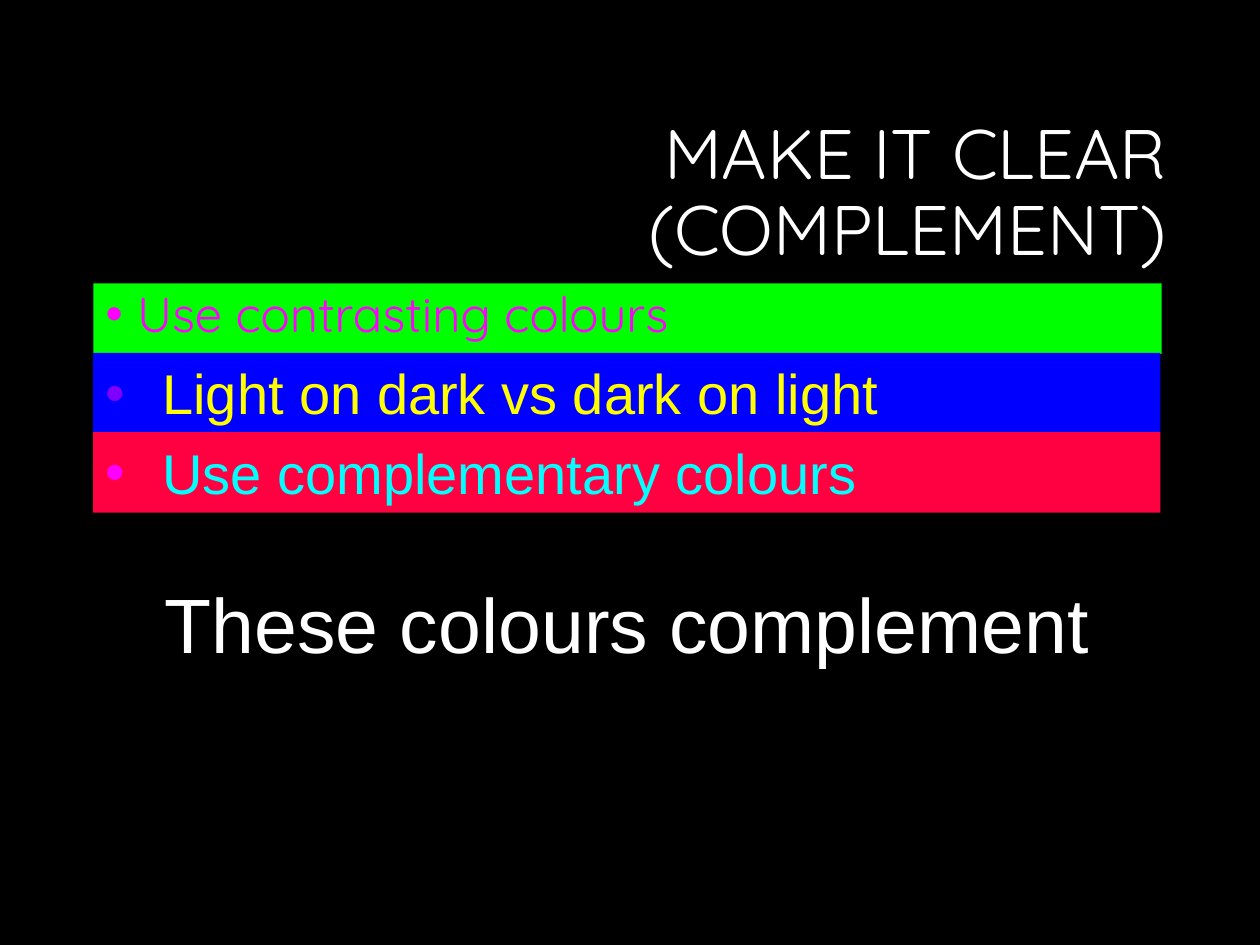
from lxml.etree import SubElement
from pptx import Presentation
from pptx.dml.color import RGBColor
from pptx.enum.shapes import MSO_SHAPE
from pptx.enum.text import MSO_ANCHOR, MSO_AUTO_SIZE, PP_ALIGN
from pptx.oxml.ns import qn
from pptx.util import Inches, Pt


def rgb(value):
    return RGBColor.from_string(value)


class SlideBuilder:
    display_font = "Quicksand"
    body_font = "Arial"
    background = "000000"
    text_color = "FFFFFF"

    def __init__(self, prs):
        self.s = prs.slides.add_slide(prs.slide_layouts[5])
        fill = self.s.background.fill
        fill.solid()
        fill.fore_color.rgb = rgb(self.background)

    def add_run(self, p, text, font, size, color):
        r = p.add_run()
        r.text = text
        r.font.name = font
        r.font.size = Pt(size)
        r.font.color.rgb = rgb(color)

    def add_bullet(self, p, color, indent):
        pPr = p._p.get_or_add_pPr()
        pPr.set("marL", str(Inches(indent)))
        pPr.set("indent", str(-Inches(indent)))
        buClr = SubElement(pPr, qn("a:buClr"))
        SubElement(buClr, qn("a:srgbClr"), val=color)
        SubElement(pPr, qn("a:buFont"), typeface=self.body_font)
        SubElement(pPr, qn("a:buChar"), char="•")

    def title(self, text, left, top, width, height):
        sp = self.s.shapes.title
        sp.left, sp.top = Inches(left), Inches(top)
        sp.width, sp.height = Inches(width), Inches(height)
        tf = sp.text_frame
        tf.word_wrap = True
        tf.auto_size = MSO_AUTO_SIZE.NONE
        tf.vertical_anchor = MSO_ANCHOR.MIDDLE
        p = tf.paragraphs[0]
        p.alignment = PP_ALIGN.RIGHT
        p.line_spacing = 0.9
        self.add_run(p, text, self.display_font, 40, self.text_color)

    def bar(self, text, left, top, width, height, fill, color, bullet,
            font, size, indent, spacing):
        sp = self.s.shapes.add_shape(
            MSO_SHAPE.RECTANGLE, Inches(left), Inches(top), Inches(width), Inches(height))
        sp.shadow.inherit = False
        sp.fill.solid()
        sp.fill.fore_color.rgb = rgb(fill)
        sp.line.fill.background()
        tf = sp.text_frame
        tf.word_wrap = True
        tf.vertical_anchor = MSO_ANCHOR.TOP
        p = tf.paragraphs[0]
        p.alignment = PP_ALIGN.LEFT
        p.line_spacing = spacing
        self.add_bullet(p, bullet, indent)
        self.add_run(p, text, font, size, color)

    def label(self, text, left, top, width, height):
        sp = self.s.shapes.add_textbox(Inches(left), Inches(top), Inches(width), Inches(height))
        tf = sp.text_frame
        tf.word_wrap = False
        tf.auto_size = MSO_AUTO_SIZE.SHAPE_TO_FIT_TEXT
        self.add_run(tf.paragraphs[0], text, self.body_font, 44, self.text_color)


def main():
    prs = Presentation()
    prs.slide_width, prs.slide_height = Inches(10), Inches(7.5)
    b = SlideBuilder(prs)
    b.title("MAKE IT CLEAR (COMPLEMENT)", 2.38, 0.84, 6.98, 1.41)
    b.bar("Use contrasting colours", 0.74, 2.25, 8.48, 0.56, "00FF00", "FF00FF", "FF00FF",
          b.display_font, 28, 0.25, 0.9)
    plain_bars = [
        ("Light on dark vs dark on light", 2.8, "0000FF", "FFFF00", "7F00FF"),
        ("Use complementary colours", 3.43, "FF0040", "00FFFF", "FF00FF"),
    ]
    for text, top, fill, color, bullet in plain_bars:
        b.bar(text, 0.74, top, 8.47, 0.64, fill, color, bullet, b.body_font, 32, 0.45, 1.0)
    b.label("These colours complement", 1.21, 4.53, 7.54, 0.84)
    prs.save("out.pptx")


if __name__ == "__main__":
    main()
